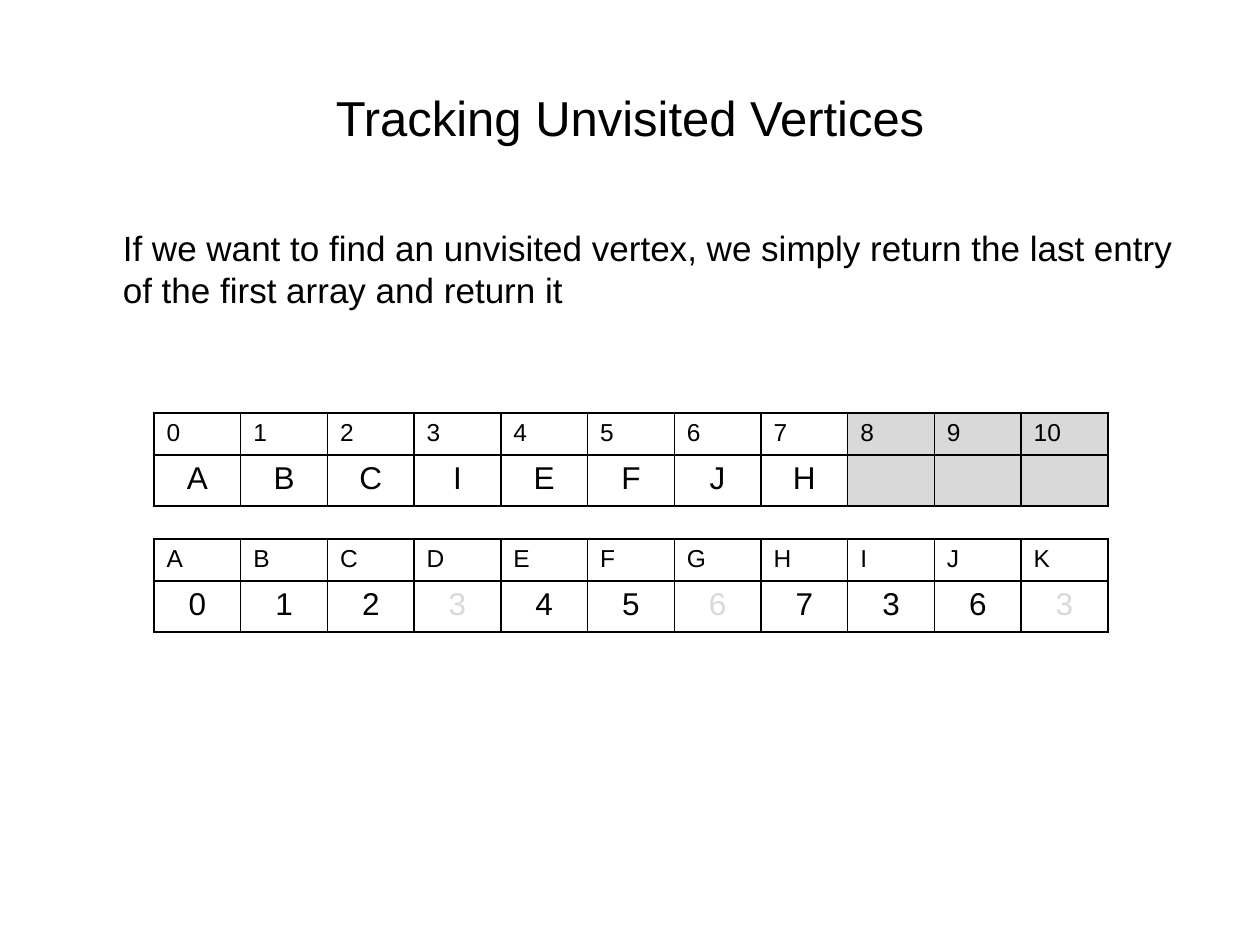
from lxml.etree import SubElement
from pptx import Presentation
from pptx.dml.color import RGBColor
from pptx.enum.text import MSO_ANCHOR, PP_ALIGN
from pptx.oxml.ns import qn
from pptx.util import Pt

COLOURS = {"ink": "000000", "paper": "FFFFFF", "muted": "D9D9D9"}


class SlideBuilder:
    """Holds the style and the current slide, and adds elements to it."""

    font = "Arial"
    column_width = 49.55
    row_heights = (24, 29)
    row_styles = ((14, PP_ALIGN.LEFT), (18, PP_ALIGN.CENTER))

    def __init__(self, slide):
        self.slide = slide

    def colour(self, name):
        return RGBColor.from_string(COLOURS[name])

    def format_paragraph(self, paragraph, size, align, colour="ink"):
        paragraph.alignment = align
        for run in paragraph.runs:
            run.font.name = self.font
            run.font.size = Pt(size)
            run.font.color.rgb = self.colour(colour)

    def text(self, text, top, height, size, align, anchor, indent=0, space_before=0):
        shape = self.slide.shapes.add_textbox(Pt(36), Pt(top), Pt(648), Pt(height))
        frame = shape.text_frame
        frame.word_wrap = True
        frame.vertical_anchor = anchor
        frame.margin_left = Pt(7.2 + indent)
        frame.text = text
        paragraph = frame.paragraphs[0]
        paragraph.space_before = Pt(space_before)
        self.format_paragraph(paragraph, size, align)

    def border(self, cell):
        properties = cell._tc.get_or_add_tcPr()
        for index, side in enumerate(("a:lnL", "a:lnR", "a:lnT", "a:lnB")):
            line = properties.makeelement(qn(side), {"w": str(Pt(1))})
            fill = SubElement(line, qn("a:solidFill"))
            SubElement(fill, qn("a:srgbClr"), val=COLOURS["ink"])
            properties.insert(index, line)

    def array(self, top, rows, shaded_columns=(), stale_columns=()):
        column_count = len(rows[0])
        frame = self.slide.shapes.add_table(
            len(rows), column_count, Pt(88), Pt(top),
            Pt(self.column_width * column_count), Pt(sum(self.row_heights)))
        table = frame.table
        table.first_row = table.horz_banding = False
        for column in table.columns:
            column.width = Pt(self.column_width)
        for row_index, values in enumerate(rows):
            table.rows[row_index].height = Pt(self.row_heights[row_index])
            size, align = self.row_styles[row_index]
            for column_index, value in enumerate(values):
                cell = table.cell(row_index, column_index)
                cell.text = value
                stale = row_index == 1 and column_index in stale_columns
                self.format_paragraph(cell.text_frame.paragraphs[0], size, align,
                                      "muted" if stale else "ink")
                cell.fill.solid()
                shaded = column_index in shaded_columns
                cell.fill.fore_color.rgb = self.colour("muted" if shaded else "paper")
                self.border(cell)


def main():
    presentation = Presentation()
    presentation.slide_width, presentation.slide_height = Pt(720), Pt(540)
    builder = SlideBuilder(presentation.slides.add_slide(presentation.slide_layouts[6]))
    builder.text("Tracking Unvisited Vertices", 21.6, 90, 28,
                 PP_ALIGN.CENTER, MSO_ANCHOR.MIDDLE)
    builder.text("If we want to find an unvisited vertex, we simply return "
                 "the last entry of the first array and return it",
                 126, 356.4, 20, PP_ALIGN.LEFT, MSO_ANCHOR.TOP,
                 indent=27, space_before=4)
    builder.array(236, ([str(number) for number in range(11)],
                        list("ABCIEFJH") + [""] * 3), shaded_columns=(8, 9, 10))
    builder.array(308, ("ABCDEFGHIJK", "01234567363"), stale_columns=(3, 6, 10))
    presentation.save("out.pptx")


if __name__ == "__main__":
    main()
